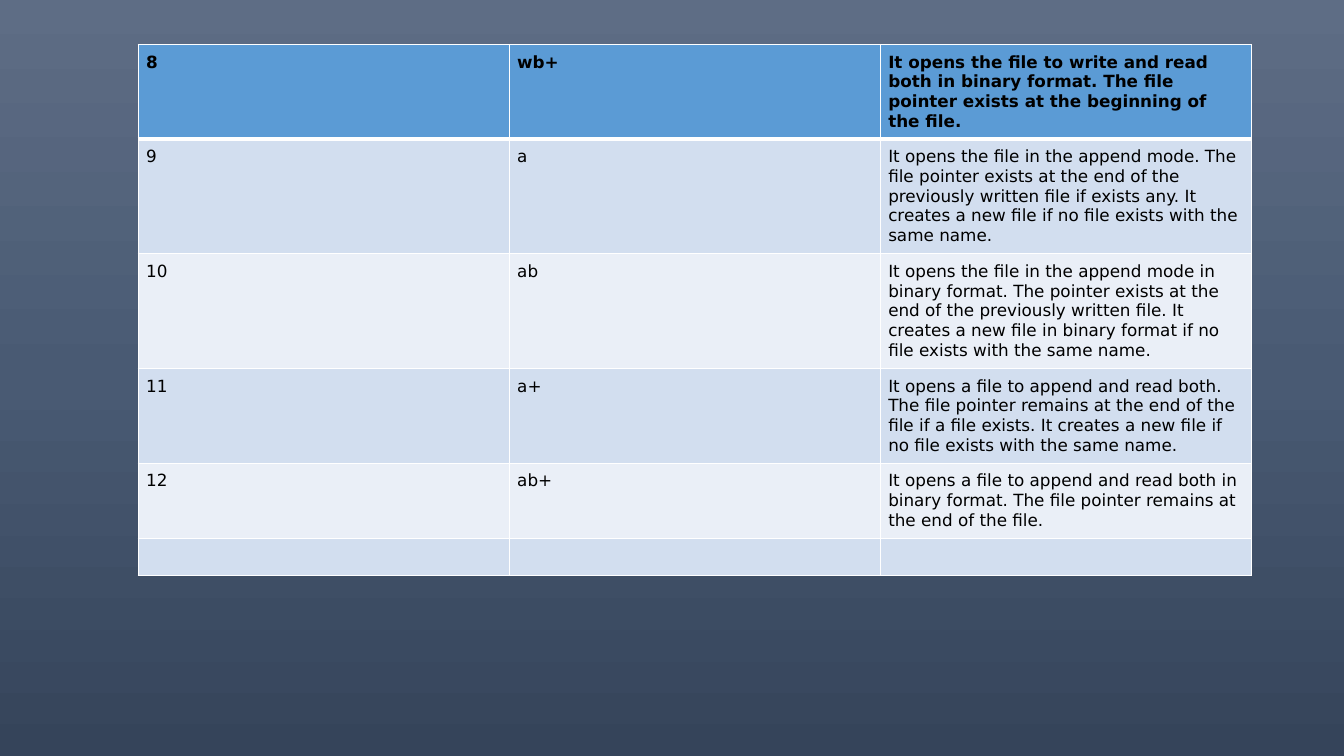
from copy import deepcopy
from dataclasses import dataclass

from lxml import etree
from pptx import Presentation
from pptx import util as u
from pptx.dml.color import RGBColor
from pptx.oxml import ns

FONT = "DejaVu Sans"
TEXT_SIZE = u.Pt(12)
BLACK = RGBColor(0x00, 0x00, 0x00)
WHITE = RGBColor(0xFF, 0xFF, 0xFF)
HEADER_BLUE = RGBColor(0x5B, 0x9B, 0xD5)
BAND_BLUES = (RGBColor(0xD2, 0xDE, 0xEF), RGBColor(0xEA, 0xEF, 0xF7))
BACKGROUND_STOPS = (
    (0.0, RGBColor(0x5E, 0x6D, 0x85)),
    (0.5, RGBColor(0x49, 0x5A, 0x73)),
    (1.0, RGBColor(0x35, 0x44, 0x5A)),
)
COLUMN_WIDTH = u.Inches(3.68)
CELL_MARGIN = u.Inches(0.08)


@dataclass(frozen=True)
class FileMode:
    height: float
    number: str = ""
    mode: str = ""
    description: str = ""


FILE_MODES = (
    FileMode(0.7, "8", "wb+",
             "It opens the file to write and read both in binary format. "
             "The file pointer exists at the beginning of the file."),
    FileMode(1.07, "9", "a",
             "It opens the file in the append mode. The file pointer exists at "
             "the end of the previously written file if exists any. It creates "
             "a new file if no file exists with the same name."),
    FileMode(1.07, "10", "ab",
             "It opens the file in the append mode in binary format. The pointer "
             "exists at the end of the previously written file. It creates a new "
             "file in binary format if no file exists with the same name."),
    FileMode(0.89, "11", "a+",
             "It opens a file to append and read both. The file pointer remains "
             "at the end of the file if a file exists. It creates a new file if "
             "no file exists with the same name."),
    FileMode(0.7, "12", "ab+",
             "It opens a file to append and read both in binary format. "
             "The file pointer remains at the end of the file."),
    FileMode(0.37),
)


def paint_background(slide) -> None:
    fill = slide.background.fill
    fill.gradient()
    fill.gradient_angle = 270
    stop_list = slide.element.find(".//" + ns.qn("a:gsLst"))
    stop_list.append(deepcopy(stop_list[-1]))
    for stop, (position, color) in zip(fill.gradient_stops, BACKGROUND_STOPS):
        stop.position = position
        stop.color.rgb = color


def add_border(properties, side: str, points: int) -> None:
    line = etree.SubElement(properties, ns.qn(f"a:ln{side}"), w=str(u.Pt(points)))
    solid = etree.SubElement(line, ns.qn("a:solidFill"))
    etree.SubElement(solid, ns.qn("a:srgbClr"), val=str(WHITE))


def format_cell(cell, text: str, row_index: int) -> None:
    header = row_index == 0
    cell.margin_left = cell.margin_right = CELL_MARGIN
    cell.margin_top = cell.margin_bottom = CELL_MARGIN
    properties = cell._tc.get_or_add_tcPr()
    widths = {"L": 1, "R": 1, "T": 3 if row_index == 1 else 1, "B": 3 if header else 1}
    for side, points in widths.items():
        add_border(properties, side, points)
    cell.fill.solid()
    cell.fill.fore_color.rgb = HEADER_BLUE if header else BAND_BLUES[(row_index - 1) % 2]
    para = cell.text_frame.paragraphs[0]
    if not text:
        etree.SubElement(para._p, ns.qn("a:endParaRPr"), sz=str(int(TEXT_SIZE.pt * 100)))
        return
    para.text = text
    for span in para.runs:
        span.font.name = FONT
        span.font.size = TEXT_SIZE
        span.font.bold = header
        span.font.color.rgb = BLACK


def add_mode_table(slide) -> None:
    frame = slide.shapes.add_table(
        len(FILE_MODES), 3, u.Inches(1.37), u.Inches(0.44), 3 * COLUMN_WIDTH, u.Inches(5.4))
    table = frame.table
    for column in table.columns:
        column.width = COLUMN_WIDTH
    for row_index, (row, entry) in enumerate(zip(table.rows, FILE_MODES)):
        row.height = u.Inches(entry.height)
        for cell, text in zip(row.cells, (entry.number, entry.mode, entry.description)):
            format_cell(cell, text, row_index)
    frame.height = u.Inches(5.4)


def main() -> None:
    deck = Presentation()
    deck.slide_width = u.Inches(13.33)
    deck.slide_height = u.Inches(7.5)
    page = deck.slides.add_slide(deck.slide_layouts[6])
    paint_background(page)
    add_mode_table(page)
    deck.save("out.pptx")


if __name__ == "__main__":
    main()
